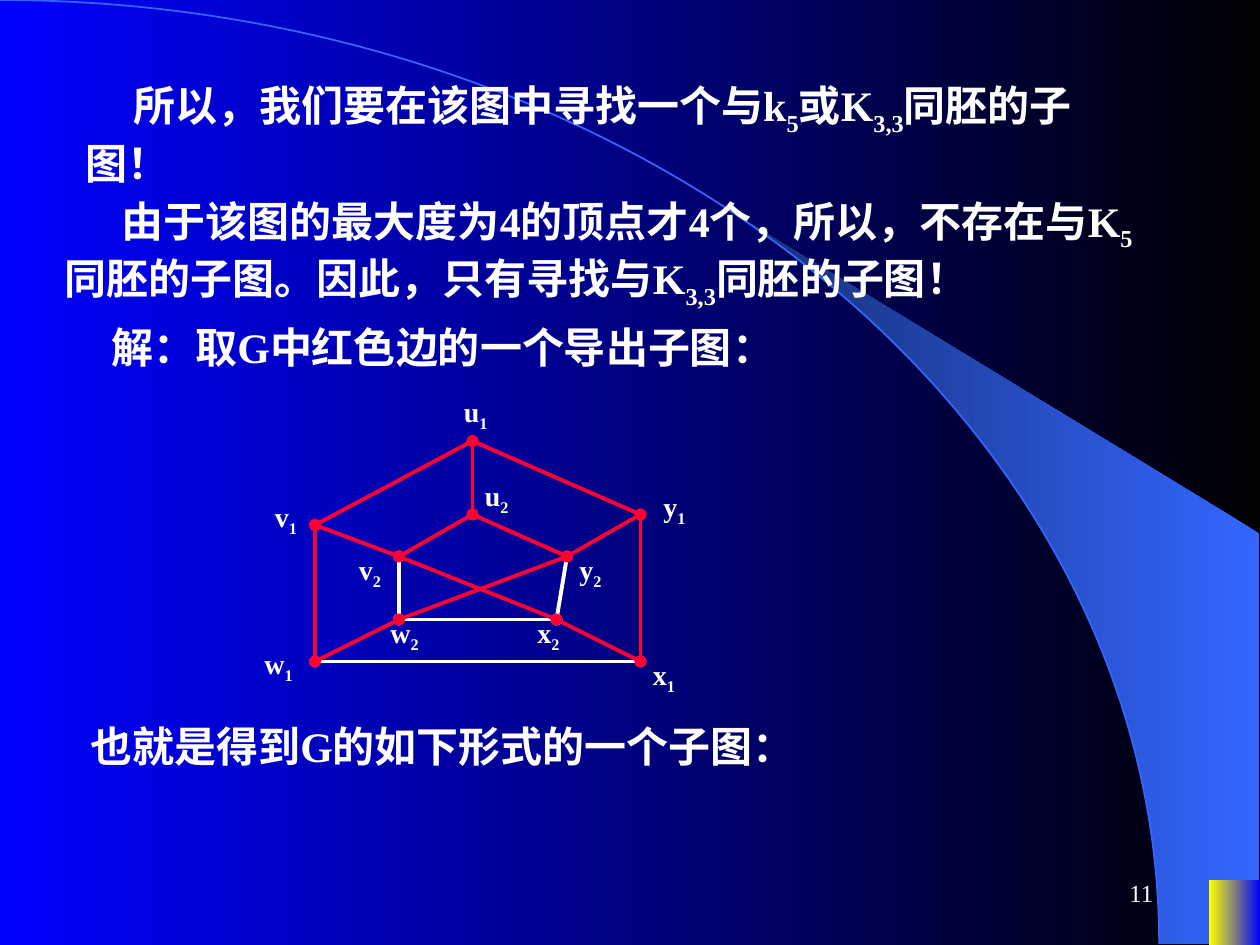
"""Build the slide that seeks a subgraph homeomorphic to K3,3."""
import math
from dataclasses import dataclass

import lxml.etree
import pptx
import pptx.dml.color
import pptx.enum.shapes
import pptx.enum.text
import pptx.oxml.ns
import pptx.util

Pt = pptx.util.Pt


@dataclass(frozen=True)
class Theme:
    """Colours, font and sizes of the slide."""
    font: str = "Times New Roman"
    body: float = 24
    vertex: float = 16
    number: float = 14
    edge_width: float = 2.25
    arc_width: float = 1
    text: str = "FFFFFF"
    plain_edge: str = "FFFFFF"
    chosen_edge: str = "FF0033"
    arc: str = "3366FF"
    backdrop: tuple = ("000000", "0000FF")
    beam: tuple = ("3366FF", "172F75")
    corner: tuple = ("0000FF", "FFFF00")


THEME = Theme()

VERTICES = {
    "u1": (126, 30), "v1": (36, 78), "w1": (36, 156), "x1": (222, 156), "y1": (222, 72),
    "u2": (126, 72), "v2": (84, 96), "w2": (84, 132), "x2": (174, 132), "y2": (180, 96),
}
VERTEX_NAMES = {
    "u1": (114, 0), "v1": (6, 60), "w1": (0, 144), "x1": (222, 150), "y1": (228, 54),
    "u2": (126, 48), "v2": (54, 90), "w2": (72, 126), "x2": (156, 126), "y2": (180, 90),
}
EDGES = (
    (THEME.plain_edge, "w1-x1 v2-w2 w2-x2 y2-x2"),
    (THEME.chosen_edge, "u1-v1 u1-y1 v1-w1 y1-x1 u2-v2 u2-y2 y1-y2 y2-w2 w2-w1 "
                        "v1-v2 v2-x2 x2-x1 u1-u2"),
)
STATEMENTS = (
    ((42, 42, 594, 69), 27,
     ("所以，我们要在该图中寻找一个与k", "5", "或K", "3,3", "同胚的子图！")),
    ((30, 108, 630, 69), 32.5,
     ("由于该图的最大度为4的顶点才4个，所以，不存在与K", "5",
      "同胚的子图。因此，只有寻找与K", "3,3", "同胚的子图！")),
    ((24, 180, 630, 36), 32.5, ("解：取G中红色边的一个导出子图：",)),
    ((12, 408, 630, 36), 32.5, ("也就是得到G的如下形式的一个子图：",)),
)


def rgb(code):
    """Return the colour for a hex code."""
    return pptx.dml.color.RGBColor.from_string(code)


def blend(fill, colours):
    """Fill with a gradient that runs from right to left."""
    fill.gradient()
    fill.gradient_angle = 180
    for stop, code in zip(fill.gradient_stops, colours):
        stop.color.rgb = rgb(code)


def write(shapes, box, pieces, size, bold=True, indent=0):
    """Write pieces in a box, every second piece as a subscript."""
    frame = shapes.add_textbox(*map(Pt, box)).text_frame
    frame.word_wrap = True
    paragraph = frame.paragraphs[0]
    if indent:
        paragraph._p.get_or_add_pPr().set("indent", str(Pt(indent)))
    for position, piece in enumerate(pieces):
        run = paragraph.add_run()
        run.text = piece
        run.font.name = THEME.font
        run.font.size = Pt(size)
        run.font.bold = bold
        run.font.color.rgb = rgb(THEME.text)
        if position % 2:
            run._r.get_or_add_rPr().set("baseline", "-25000")
    return frame


def draw_backdrop(slide, box):
    """Draw the gradient, the beam, the arc and the corner block."""
    left, top, width, height = box
    blend(slide.background.fill, THEME.backdrop)
    across, down = 662.4, height - 0.7
    steps = 24
    start = math.asin(424 / across)
    angles = [start + (math.pi / 2 - start) * step / steps for step in range(steps + 1)]
    rim = [(left + across * math.sin(a), top + down * (1 - math.cos(a))) for a in angles]
    right = left + width - 0.7
    outline = rim + [(right, top + down), (right, top + 304.6)]
    builder = slide.shapes.build_freeform(*map(Pt, outline[0]))
    builder.add_line_segments([tuple(map(Pt, point)) for point in outline[1:]])
    beam = builder.convert_to_shape()
    blend(beam.fill, THEME.beam)

    arc = slide.shapes.add_shape(
        pptx.enum.shapes.MSO_SHAPE.ARC,
        *map(Pt, (left - across, top, 2 * across, 2 * down)))
    arc.fill.background()
    arc.line.color.rgb = rgb(THEME.arc)
    arc.line.width = Pt(THEME.arc_width)

    corner = slide.shapes.add_shape(
        pptx.enum.shapes.MSO_SHAPE.RECTANGLE,
        *map(Pt, (left + width - 29, top + height - 37.2, 29, 37.2)))
    blend(corner.fill, THEME.corner)
    for part in (beam, corner):
        part.line.fill.background()
    for part in (beam, arc, corner):
        part.shadow.inherit = False


def draw_edge(shapes, start, end, colour):
    """Draw one edge with a dot at each end."""
    edge = shapes.add_connector(
        pptx.enum.shapes.MSO_CONNECTOR.STRAIGHT, *map(Pt, start + end))
    edge.line.color.rgb = rgb(colour)
    edge.line.width = Pt(THEME.edge_width)
    stroke = edge.line._get_or_add_ln()
    for tag in ("a:headEnd", "a:tailEnd"):
        lxml.etree.SubElement(stroke, pptx.oxml.ns.qn(tag), type="oval")
    lxml.etree.SubElement(edge._element.spPr, pptx.oxml.ns.qn("a:effectLst"))


def draw_graph(slide, box):
    """Draw the edges and the vertex names of the graph."""
    left, top = box[:2]
    shapes = slide.shapes.add_group_shape().shapes
    points = {name: (left + x, top + y) for name, (x, y) in VERTICES.items()}
    for colour, pairs in EDGES:
        for pair in pairs.split():
            start, end = pair.split("-")
            draw_edge(shapes, points[start], points[end], colour)
    for name, (x, y) in VERTEX_NAMES.items():
        width = 36 if name.startswith("w") else 31
        write(shapes, (left + x, top + y, width, 29.5), name, THEME.vertex)


def write_statements(slide, box):
    """Write the steps of the argument."""
    for (x, y, width, height), indent, pieces in STATEMENTS:
        write(slide.shapes, (box[0] + x, box[1] + y, width, height), pieces,
              THEME.body, indent=indent)


def write_number(slide, box):
    """Write the slide number at the right of its box."""
    frame = write(slide.shapes, box, ("11",), THEME.number, bold=False)
    frame.vertical_anchor = pptx.enum.text.MSO_ANCHOR.MIDDLE
    frame.paragraphs[0].alignment = pptx.enum.text.PP_ALIGN.RIGHT


def main():
    """Build and save the slide."""
    deck = pptx.Presentation()
    page = (0, 0, 720, 540)
    deck.slide_width, deck.slide_height = map(Pt, page[2:])
    slide = deck.slides.add_slide(deck.slide_layouts[6])
    draw_backdrop(slide, page)
    draw_graph(slide, (144, 222, 259, 180))
    write_statements(slide, page)
    write_number(slide, (516, 492, 150, 36))
    deck.save("out.pptx")


main()
